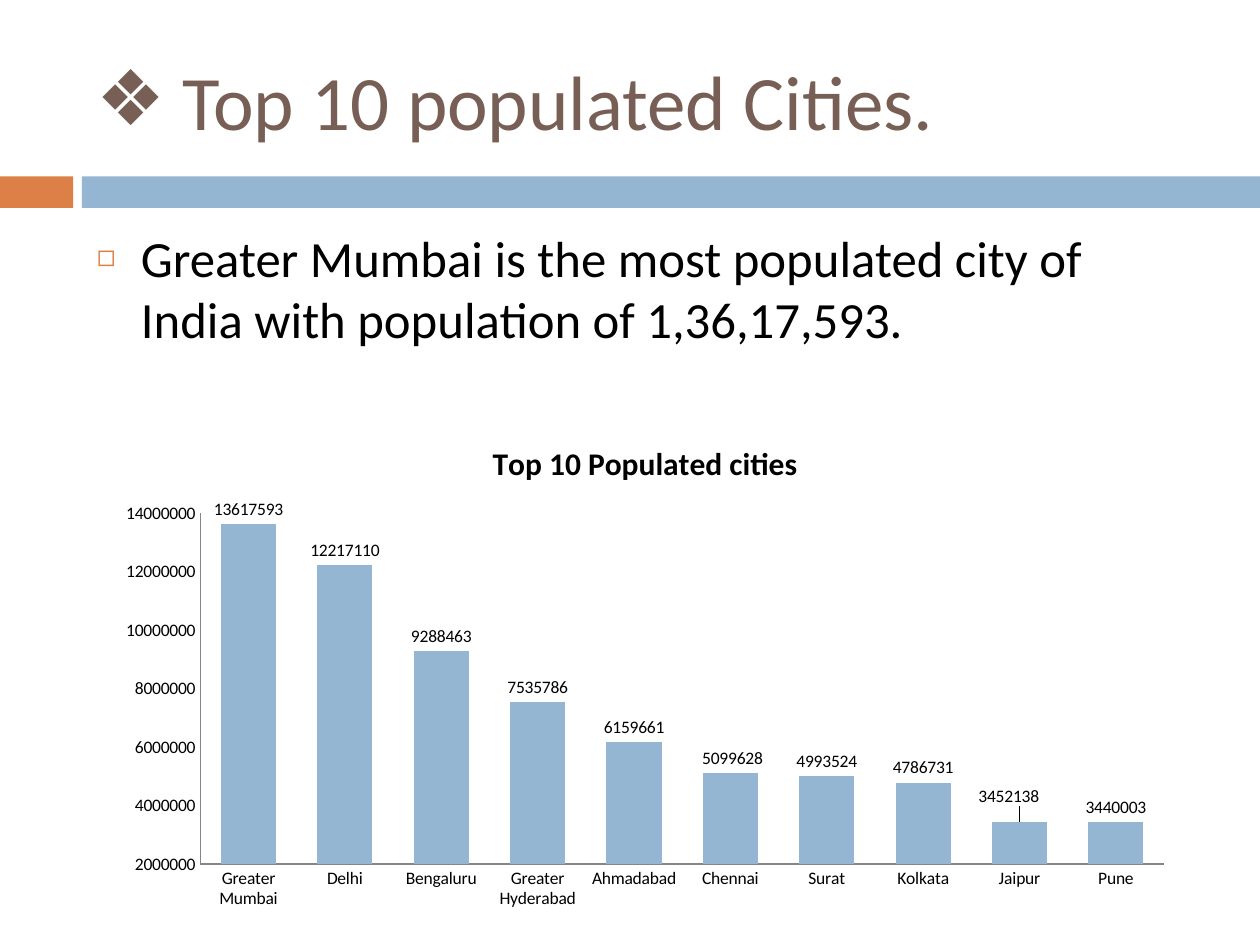
from lxml import etree
from pptx import Presentation
from pptx.chart.data import CategoryChartData
from pptx.dml.color import RGBColor
from pptx.enum.chart import XL_CHART_TYPE, XL_LABEL_POSITION, XL_TICK_MARK
from pptx.enum.shapes import MSO_SHAPE
from pptx.enum.text import MSO_ANCHOR
from pptx.oxml.ns import qn
from pptx.util import Inches, Pt

COLORS = {"orange": "DD8047", "blue": "94B6D2", "brown": "775F55",
          "black": "000000", "axis": "868686"}
FONT = "Calibri"
WIDTH, HEIGHT = 10, 7.5
LEFT, TEXT_WIDTH = 0.67, 8.92
BAND_TOP, BAND_HEIGHT = 1.4, 0.25
BAND_SPLIT, BAND_GAP = 0.58, 0.07

POPULATIONS = {
    "Greater Mumbai": 13617593, "Delhi": 12217110, "Bengaluru": 9288463,
    "Greater Hyderabad": 7535786, "Ahmadabad": 6159661, "Chennai": 5099628,
    "Surat": 4993524, "Kolkata": 4786731, "Jaipur": 3452138, "Pune": 3440003,
}
# Label shifts as shares of the chart's width and height
LABEL_SHIFTS = {"Chennai": (0.002, 0), "Jaipur": (-0.01, -0.02)}


def color(name):
    return RGBColor.from_string(COLORS[name])


def style_font(font, size, color_name="black", bold=False):
    font.name = FONT
    font.size = Pt(size)
    font.bold = bold
    font.color.rgb = color(color_name)


def add_band(slide, left, width, color_name):
    shape = slide.shapes.add_shape(
        MSO_SHAPE.RECTANGLE, Inches(left), Inches(BAND_TOP),
        Inches(width), Inches(BAND_HEIGHT))
    shape.shadow.inherit = False
    shape.fill.solid()
    shape.fill.fore_color.rgb = color(color_name)
    shape.line.fill.background()


def add_bullet(paragraph, symbol, indent, color_name, percent):
    properties = paragraph._p.get_or_add_pPr()
    properties.set("marL", str(Inches(indent)))
    properties.set("indent", str(-Inches(indent)))
    bullet_color = etree.SubElement(properties, qn("a:buClr"))
    etree.SubElement(bullet_color, qn("a:srgbClr"), val=COLORS[color_name])
    etree.SubElement(properties, qn("a:buSzPct"), val=str(percent * 1000))
    etree.SubElement(properties, qn("a:buFont"), typeface=FONT)
    etree.SubElement(properties, qn("a:buChar"), char=symbol)


def add_bullet_text(slide, text, top, height, size, color_name, anchor, bullet):
    box = slide.shapes.add_textbox(
        Inches(LEFT), Inches(top), Inches(TEXT_WIDTH), Inches(height))
    frame = box.text_frame
    frame.word_wrap = True
    frame.vertical_anchor = anchor
    paragraph = frame.paragraphs[0]
    paragraph.text = text
    add_bullet(paragraph, *bullet)
    style_font(paragraph.font, size, color_name)


def style_axis(axis):
    axis.major_tick_mark = XL_TICK_MARK.NONE
    axis.minor_tick_mark = XL_TICK_MARK.NONE
    axis.has_major_gridlines = False
    axis.format.line.color.rgb = color("axis")


def shift_label(series, index, shift):
    """Move one data label away from its usual place."""
    label = series.points[index].data_label
    style_font(label.font, 10)
    label.position = XL_LABEL_POSITION.OUTSIDE_END
    element = series._element.xpath(f'c:dLbls/c:dLbl[c:idx/@val="{index}"]')[0]
    layout = etree.Element(qn("c:layout"))
    manual = etree.SubElement(layout, qn("c:manualLayout"))
    for axis, amount in zip("xy", shift):
        etree.SubElement(manual, qn(f"c:{axis}"), val=str(amount))
    element.insert(1, layout)


def add_population_chart(slide):
    data = CategoryChartData()
    data.categories = list(POPULATIONS)
    data.add_series("Series 1", list(POPULATIONS.values()))
    chart = slide.shapes.add_chart(
        XL_CHART_TYPE.COLUMN_CLUSTERED, Inches(0.83), Inches(3.33),
        Inches(8.58), Inches(3.96), data).chart
    style_font(chart.font, 10)
    chart.has_legend = False
    chart.has_title = True
    title = chart.chart_title.text_frame.paragraphs[0]
    title.text = "Top 10 Populated cities"
    style_font(title.font, 18, bold=True)

    style_axis(chart.category_axis)
    style_axis(chart.value_axis)
    chart.value_axis.minimum_scale = 2000000
    chart.value_axis.maximum_scale = 14000000
    chart.value_axis.major_unit = 2000000

    plot = chart.plots[0]
    plot.gap_width = 75
    plot.vary_by_categories = False
    series = plot.series[0]
    series.format.fill.solid()
    series.format.fill.fore_color.rgb = color("blue")
    labels = series.data_labels
    labels.show_value = True
    labels.position = XL_LABEL_POSITION.OUTSIDE_END
    style_font(labels.font, 10)
    for city, shift in LABEL_SHIFTS.items():
        shift_label(series, list(POPULATIONS).index(city), shift)


def main():
    presentation = Presentation()
    presentation.slide_width = Inches(WIDTH)
    presentation.slide_height = Inches(HEIGHT)
    slide = presentation.slides.add_slide(presentation.slide_layouts[6])

    blue_left = BAND_SPLIT + BAND_GAP
    add_band(slide, 0, BAND_SPLIT, "orange")
    add_band(slide, blue_left, WIDTH - blue_left, "blue")
    add_bullet_text(slide, "Top 10 populated Cities.", 0.25, 1.08, 44, "brown",
                    MSO_ANCHOR.MIDDLE, ("❖", 0.68, "brown", 100))
    add_bullet_text(slide, "Greater Mumbai is the most populated city of India "
                    "with population of 1,36,17,593.", 1.75, 1.83, 29, "black",
                    MSO_ANCHOR.TOP, ("◻", 0.35, "orange", 60))
    add_population_chart(slide)
    presentation.save("out.pptx")


if __name__ == "__main__":
    main()
